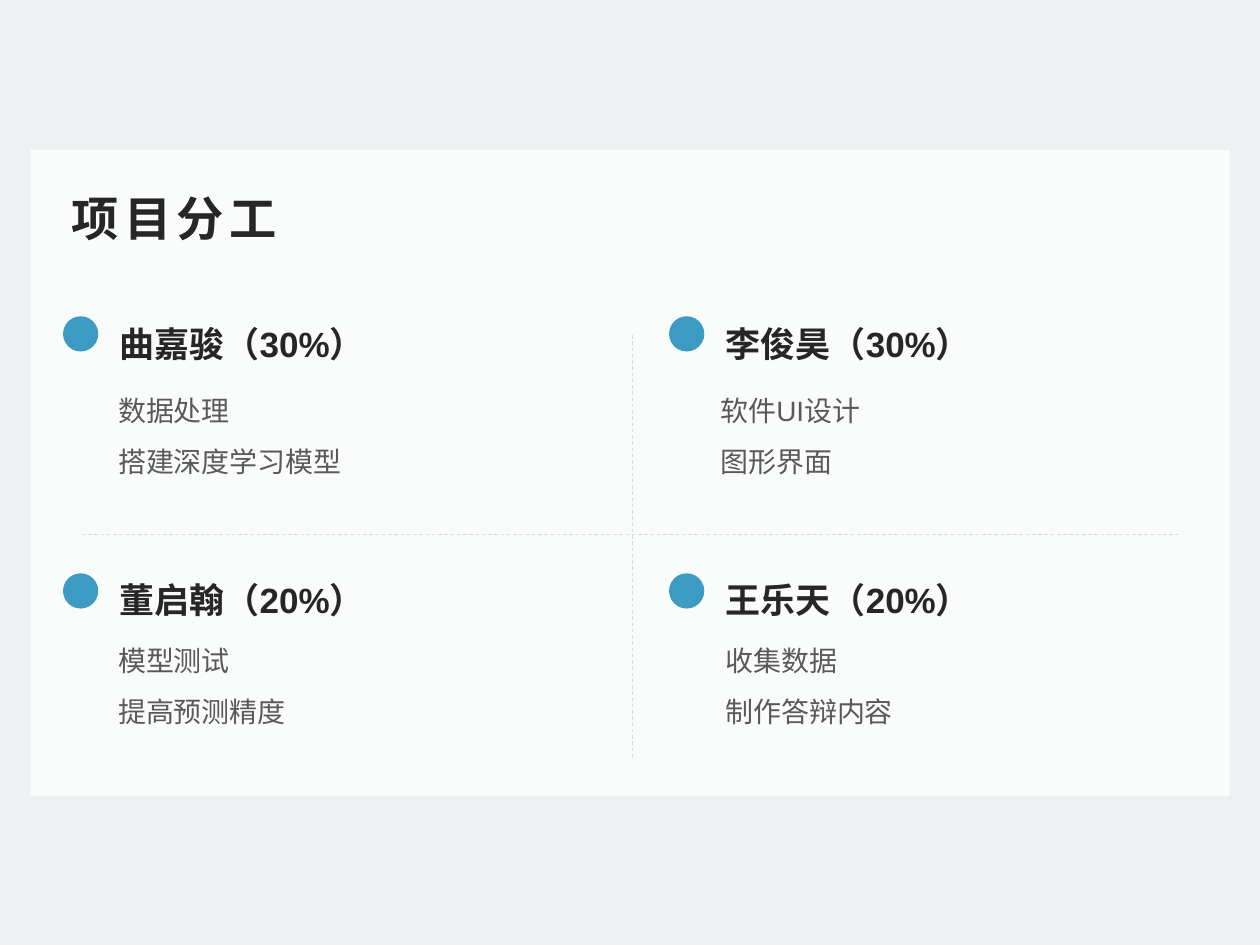
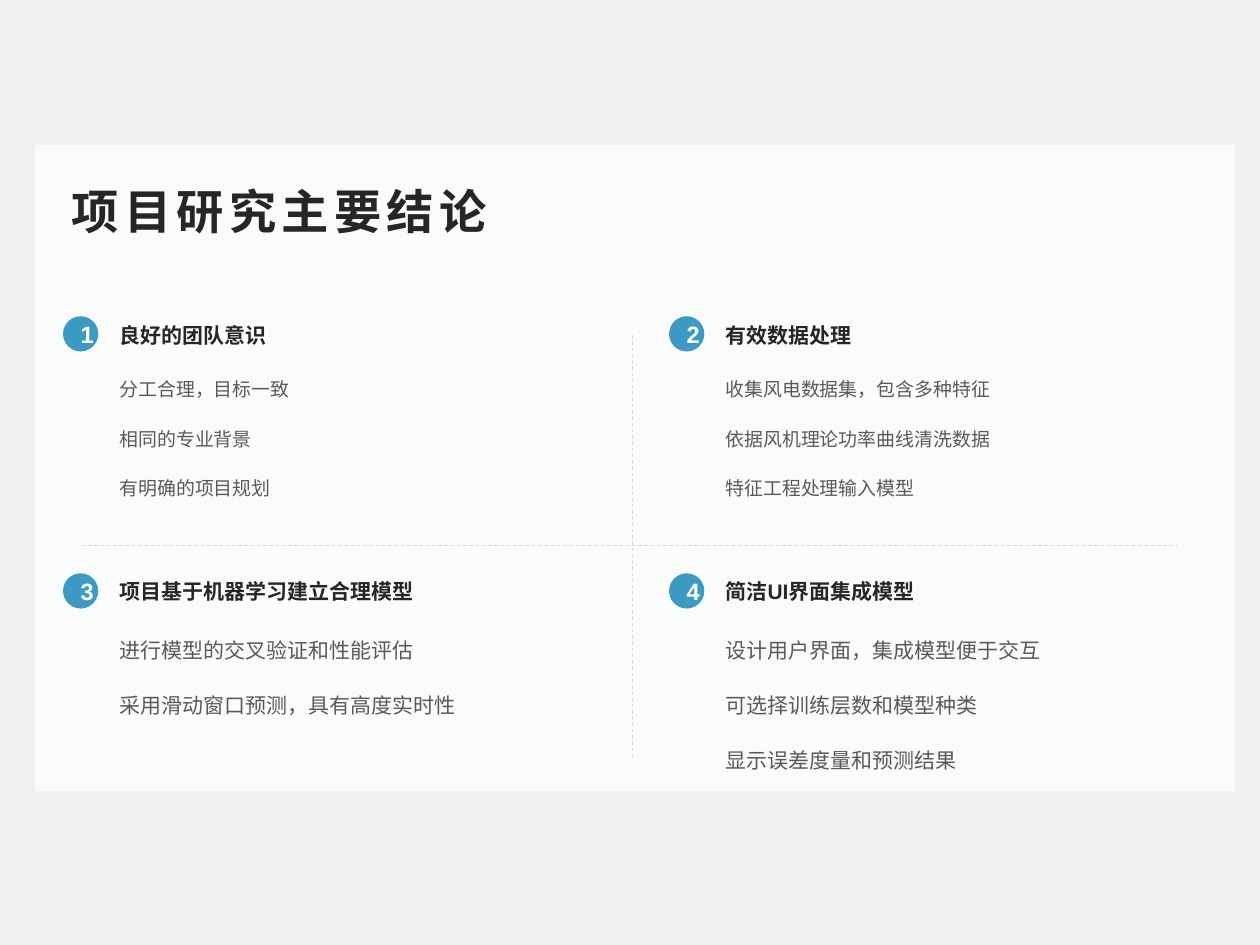
from pptx import Presentation
from pptx.dml.color import RGBColor
from pptx.enum import dml, shapes, text
from pptx.oxml.ns import qn
from pptx.util import Inches, Pt

BACK = RGBColor(0xEF, 0xF0, 0xF1)
PANEL = RGBColor(0xFA, 0xFC, 0xFC)
RULE = RGBColor(0xD9, 0xD9, 0xD9)
BLUE = RGBColor(0x3D, 0x9A, 0xC2)
DARK = RGBColor(0x26, 0x26, 0x26)
GREY = RGBColor(0x59, 0x59, 0x59)
WHITE = RGBColor(0xFF, 0xFF, 0xFF)
FONT = "Arial"

COLS = (0.5, 5.31)   # left edge of the dots
ROWS = (2.51, 4.54)  # top edge of the headings
INDENT = 0.35        # from dot to heading
WIDTH, DOT = 3.83, 0.28

# Each item: heading, lines, left shift, drop below heading, height, size, line spacing
decks = [
    dict(title="项目分工", top=1.44, panel=(0.24, 1.19), rule=4.24, head=20, marks=[""] * 4, items=[
        ("曲嘉骏（30%）", ["数据处理", "搭建深度学习模型"], -0.01, 0.56, 1.15, 16, None),
        ("李俊昊（30%）", ["软件UI设计", "图形界面"], -0.04, 0.56, 1.15, 16, None),
        ("董启翰（20%）", ["模型测试", "提高预测精度"], -0.01, 0.52, 1.15, 16, None),
        ("王乐天（20%）", ["收集数据", "制作答辩内容"], 0, 0.52, 1.15, 16, None),
    ]),
    dict(title="项目研究主要结论", top=1.38, panel=(0.28, 1.15), rule=4.33, head=12, marks="1234", items=[
        ("良好的团队意识", ["分工合理，目标一致", "相同的专业背景", "有明确的项目规划"],
         0, 0.37, 1.15, 10.8, 1.4),
        ("有效数据处理", ["收集风电数据集，包含多种特征", "依据风机理论功率曲线清洗数据",
                    "特征工程处理输入模型"], 0, 0.37, 1.15, 10.8, 1.4),
        ("项目基于机器学习建立合理模型", ["进行模型的交叉验证和性能评估",
                            "采用滑动窗口预测，具有高度实时性"], 0, 0.37, 1.4, 12, 1.5),
        ("简洁UI界面集成模型", ["设计用户界面，集成模型便于交互", "可选择训练层数和模型种类",
                        "显示误差度量和预测结果"], 0, 0.37, 1.4, 12, 1.5),
    ]),
]


def block(slide, kind, box, fill):
    """Add a plain filled shape without outline or shadow."""
    shape = slide.shapes.add_shape(kind, *map(Inches, box))
    shape.shadow.inherit = False
    shape.fill.solid()
    shape.fill.fore_color.rgb = fill
    shape.line.fill.background()
    return shape


def write(slide, box, lines, size, color, bold=False, shape=None):
    """Set lines of text in a shape, or in a new wrapping text box."""
    if shape is None:
        shape = slide.shapes.add_textbox(*map(Inches, box))
    frame = shape.text_frame
    frame.word_wrap = True
    frame.text = "\n".join(lines)
    for para in frame.paragraphs:
        for run in para.runs:
            run.font.name, run.font.size, run.font.bold = FONT, Pt(size), bold
            run.font.color.rgb = color
    return frame


prs = Presentation()
prs.slide_width, prs.slide_height = Inches(10), Inches(7.5)

for deck in decks:
    slide = prs.slides.add_slide(prs.slide_layouts[6])
    slide.background.fill.solid()
    slide.background.fill.fore_color.rgb = BACK
    block(slide, shapes.MSO_SHAPE.RECTANGLE, (*deck["panel"], 9.52, 5.13), PANEL)

    for ends in ((0.65, deck["rule"], 9.35, deck["rule"]), (5.02, 2.66, 5.02, 6.01)):
        line = slide.shapes.add_connector(shapes.MSO_CONNECTOR.STRAIGHT, *map(Inches, ends))
        line.line.color.rgb = RULE
        line.line.width = Pt(0.5)
        line.line.dash_style = dml.MSO_LINE.DASH
        props = line._element.spPr
        props.append(props.makeelement(qn("a:effectLst"), {}))

    for i, (head, lines, shift, drop, height, size, lead) in enumerate(deck["items"]):
        left, top = COLS[i % 2], ROWS[i // 2]
        x = left + INDENT
        body = write(slide, (x + shift, top + drop, WIDTH, height), lines, size, GREY)
        for para in body.paragraphs:
            para.space_before = Pt(10)
            para.line_spacing = lead
        write(slide, (x, top, WIDTH, 0.33), [head], deck["head"], DARK, True)

        dot = block(slide, shapes.MSO_SHAPE.OVAL, (left, top, DOT, DOT), BLUE)
        dot.top = Inches(top + 0.01 * (i // 2))
        if deck["marks"][i]:
            mark = write(slide, None, [deck["marks"][i]], 13.5, WHITE, True, dot)
            mark.vertical_anchor = text.MSO_ANCHOR.MIDDLE
            mark.paragraphs[0].alignment = text.PP_ALIGN.CENTER

    title = write(slide, (0.5, deck["top"], 9, 0.58), [deck["title"]], 27, DARK, True)
    title.vertical_anchor = text.MSO_ANCHOR.MIDDLE
    title.margin_left = title.margin_right = Inches(0.07)
    title.margin_top = title.margin_bottom = Inches(0.04)
    title.paragraphs[0].runs[0].font._element.set("spc", "300")

prs.save("out.pptx")
